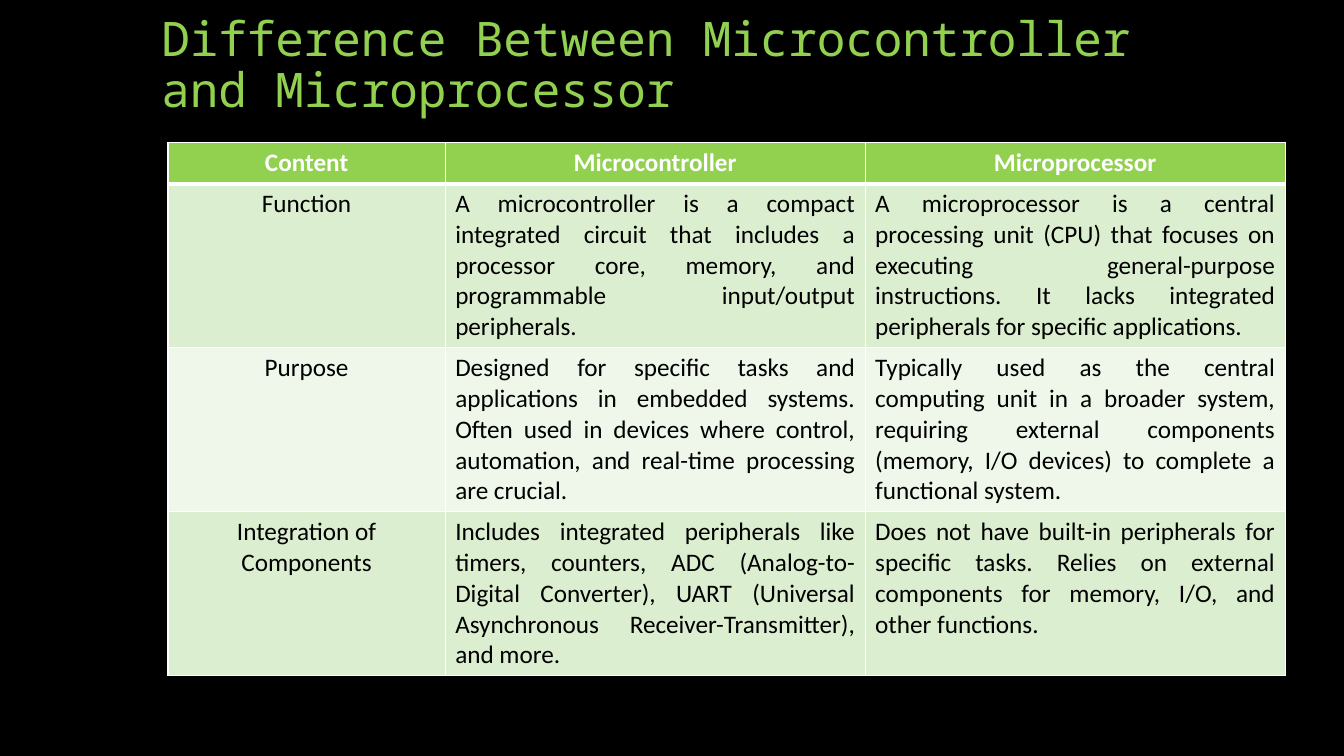
from dataclasses import dataclass

from lxml.etree import SubElement
from pptx import Presentation
from pptx.dml.color import RGBColor
from pptx.enum.text import MSO_ANCHOR as Anchor, MSO_AUTO_SIZE as AutoSize, PP_ALIGN as Align
from pptx.oxml.ns import qn
from pptx.util import Pt


@dataclass(frozen=True)
class Theme:
    background: str = "000000"
    accent: str = "92D050"
    header_text: str = "FFFFFF"
    body_text: str = "000000"
    border: str = "FFFFFF"
    bands: tuple = ("DCEED0", "EEF7E9")
    title_font: str = "Noto Sans Mono"
    table_font: str = "Calibri"
    title_size: int = 34
    table_size: int = 18


theme = Theme()


def style_run(run, font_name, size, color, bold=False):
    run.font.name = font_name
    run.font.size = Pt(size)
    run.font.bold = bold
    run.font.color.rgb = RGBColor.from_string(color)


def add_borders(cell, bottom_width):
    properties = cell._tc.get_or_add_tcPr()
    widths = {"a:lnL": 1, "a:lnR": 1, "a:lnT": 1, "a:lnB": bottom_width}
    for position, (tag, width) in enumerate(widths.items()):
        line = SubElement(properties, qn(tag), w=str(Pt(width)))
        fill = SubElement(line, qn("a:solidFill"))
        SubElement(fill, qn("a:srgbClr"), val=theme.border)
        properties.insert(position, line)


presentation = Presentation()
presentation.slide_width = Pt(960)
presentation.slide_height = Pt(540)
slide = presentation.slides.add_slide(presentation.slide_layouts[5])
slide.background.fill.solid()
slide.background.fill.fore_color.rgb = RGBColor.from_string(theme.background)

title = slide.shapes.title
title.left, title.top, title.width, title.height = Pt(108), Pt(-2), Pt(720), Pt(90)
title.text_frame.text = "Difference Between Microcontroller and Microprocessor"
title.text_frame.auto_size = AutoSize.NONE
title.text_frame.word_wrap = True
title.text_frame.vertical_anchor = Anchor.BOTTOM
title_paragraph = title.text_frame.paragraphs[0]
title_paragraph.alignment = Align.LEFT
title_paragraph.line_spacing = 0.9
style_run(title_paragraph.runs[0], theme.title_font, theme.title_size, theme.accent)

comparison = [
    ("Content", "Microcontroller", "Microprocessor"),
    (
        "Function",
        "A microcontroller is a compact integrated circuit that includes a processor core, "
        "memory, and programmable input/output peripherals.",
        "A microprocessor is a central processing unit (CPU) that focuses on executing "
        "general-purpose instructions. It lacks integrated peripherals for specific applications.",
    ),
    (
        "Purpose",
        "Designed for specific tasks and applications in embedded systems. Often used in "
        "devices where control, automation, and real-time processing are crucial.",
        "Typically used as the central computing unit in a broader system, requiring external "
        "components (memory, I/O devices) to complete a functional system.",
    ),
    (
        "Integration of Components",
        "Includes integrated peripherals like timers, counters, ADC (Analog-to-Digital "
        "Converter), UART (Universal Asynchronous Receiver-Transmitter), and more.",
        "Does not have built-in peripherals for specific tasks. Relies on external components "
        "for memory, I/O, and other functions.",
    ),
]
column_widths = (198, 300, 300)
row_heights = (29.2, 117.2, 117.2, 117.2)

table = slide.shapes.add_table(
    len(comparison), len(column_widths), Pt(120), Pt(102), Pt(sum(column_widths)), Pt(sum(row_heights))
).table
for column, width in zip(table.columns, column_widths):
    column.width = Pt(width)

for row_index, (row, height, texts) in enumerate(zip(table.rows, row_heights, comparison)):
    row.height = Pt(height)
    is_header = row_index == 0
    fill_color = theme.accent if is_header else theme.bands[(row_index - 1) % 2]
    text_color = theme.header_text if is_header else theme.body_text
    for column_index, (cell, text) in enumerate(zip(row.cells, texts)):
        cell.fill.solid()
        cell.fill.fore_color.rgb = RGBColor.from_string(fill_color)
        add_borders(cell, 3 if is_header else 1)
        cell.text_frame.text = text
        paragraph = cell.text_frame.paragraphs[0]
        paragraph.alignment = Align.CENTER if is_header or column_index == 0 else Align.JUSTIFY
        style_run(paragraph.runs[0], theme.table_font, theme.table_size, text_color, is_header)

presentation.save("out.pptx")
